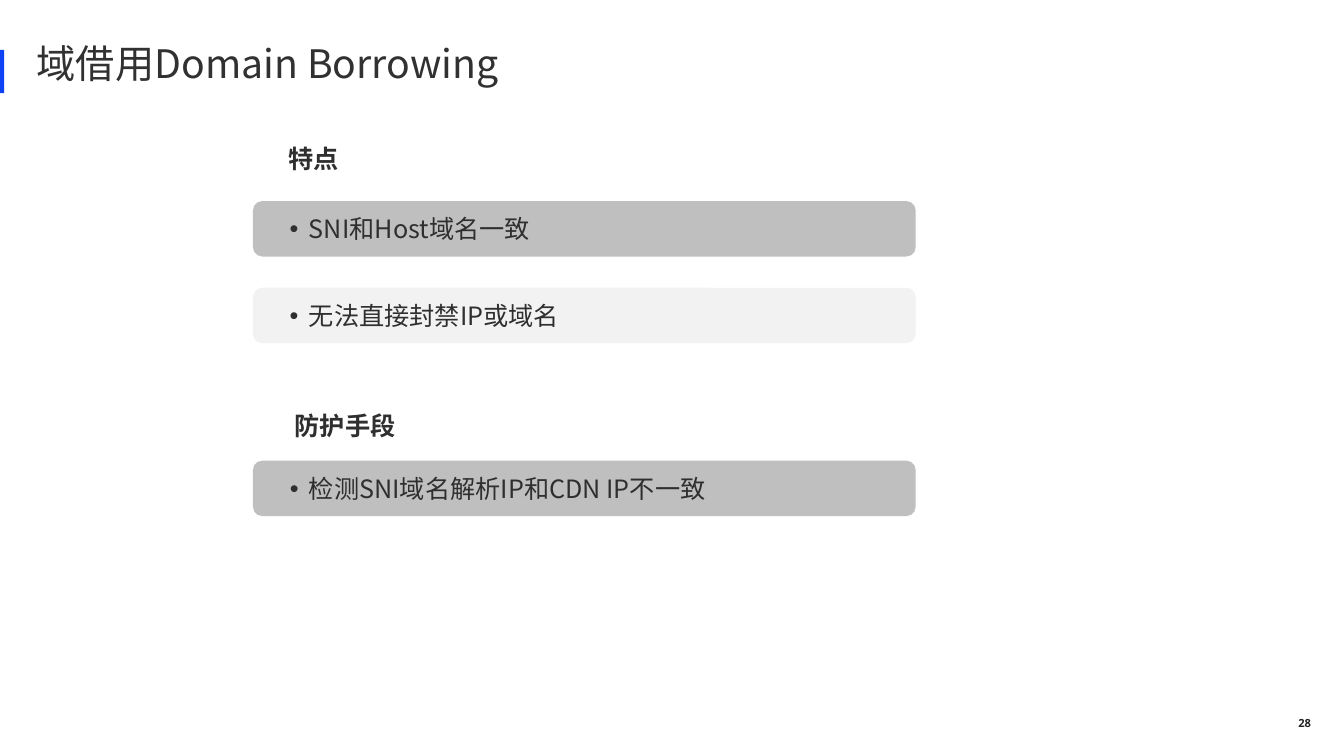
from dataclasses import dataclass

import pptx
import pptx.dml.color
import pptx.enum.shapes
import pptx.enum.text
import pptx.oxml.ns
import pptx.util
from lxml import etree

Inches = pptx.util.Inches
Anchor = pptx.enum.text.MSO_ANCHOR
Align = pptx.enum.text.PP_ALIGN
Shape = pptx.enum.shapes.MSO_SHAPE
qn = pptx.oxml.ns.qn


@dataclass(frozen=True)
class Theme:
    font: str = "Noto Sans CJK SC"
    number_font: str = "Open Sans"
    title_color: str = "313131"
    body_color: str = "2F2F2F"
    number_color: str = "222222"
    accent: str = "0E42F5"
    dark_bar: str = "BFBFBF"
    light_bar: str = "F2F2F2"
    title_size: int = 56
    body_size: int = 36
    number_size: int = 16
    inset: float = 0.06
    indent: float = 0.38


class SlideBuilder:
    BAR_LEFT, BAR_WIDTH, BAR_HEIGHT = 5.02, 13.15, 1.1
    TEXT_LEFT, TEXT_WIDTH, TEXT_HEIGHT = 5.69, 9.64, 0.72

    def __init__(self, slide, theme):
        self.s = slide
        self.theme = theme

    def block(self, kind, left, top, width, height, color):
        sp = self.s.shapes.add_shape(
            kind, Inches(left), Inches(top), Inches(width), Inches(height))
        sp.shadow.inherit = False
        sp.fill.solid()
        sp.fill.fore_color.rgb = pptx.dml.color.RGBColor.from_string(color)
        sp.line.fill.background()

    def text(self, text, left, top, width, height, size, color, font=None,
             bold=False, wrap=True, anchor=Anchor.MIDDLE, insets=None):
        sp = self.s.shapes.add_textbox(
            Inches(left), Inches(top), Inches(width), Inches(height))
        tf = sp.text_frame
        tf.word_wrap = wrap
        tf.auto_size = pptx.enum.text.MSO_AUTO_SIZE.SHAPE_TO_FIT_TEXT
        tf.vertical_anchor = anchor
        side, end = insets or (self.theme.inset, self.theme.inset)
        tf.margin_left = tf.margin_right = Inches(side)
        tf.margin_top = tf.margin_bottom = Inches(end)
        p = tf.paragraphs[0]
        r = p.add_run()
        r.text = text
        r.font.size = pptx.util.Pt(size)
        r.font.bold = bold
        r.font.color.rgb = pptx.dml.color.RGBColor.from_string(color)
        r.font.name = font or self.theme.font
        # East Asian characters take their typeface from a:ea
        etree.SubElement(r.font._element, qn("a:ea"), typeface=r.font.name)
        return p

    def title(self, text):
        t = self.theme
        self.block(Shape.RECTANGLE, -0.01, 0.99, 0.09, 0.86, t.accent)
        p = self.text(text, 0.67, 0.82, 9.57, 0.96, t.title_size,
                      t.title_color, wrap=False, anchor=Anchor.TOP)
        p.line_spacing = 0.9

    def heading(self, text, left, top):
        t = self.theme
        self.text(text, left, top, self.TEXT_WIDTH, self.TEXT_HEIGHT,
                  t.body_size, t.body_color, bold=True)

    def bullet_bar(self, text, top, color, text_width=TEXT_WIDTH):
        t = self.theme
        self.block(Shape.ROUNDED_RECTANGLE, self.BAR_LEFT, top,
                   self.BAR_WIDTH, self.BAR_HEIGHT, color)
        text_top = top + (self.BAR_HEIGHT - self.TEXT_HEIGHT) / 2
        p = self.text(text, self.TEXT_LEFT, text_top, text_width,
                      self.TEXT_HEIGHT, t.body_size, t.body_color)
        pPr = p._p.get_or_add_pPr()
        pPr.set("marL", str(Inches(t.indent)))
        pPr.set("indent", str(-Inches(t.indent)))
        etree.SubElement(pPr, qn("a:buFont"), typeface="Arial")
        etree.SubElement(pPr, qn("a:buChar"), char="•")

    def slide_number(self, text):
        # No side insets, so that both digits fit on one line
        t = self.theme
        p = self.text(text, 25.72, 14.11, 0.34, 0.46, t.number_size,
                      t.number_color, font=t.number_font, bold=True,
                      wrap=False, insets=(0, 0.1))
        p.alignment = Align.CENTER


def main():
    prs = pptx.Presentation()
    prs.slide_width = Inches(26.67)
    prs.slide_height = Inches(15)
    theme = Theme()
    b = SlideBuilder(prs.slides.add_slide(prs.slide_layouts[6]), theme)

    # Title and slide number
    b.title("域借用Domain Borrowing")
    b.slide_number("28")

    # Features
    b.heading("特点", 5.67, 2.78)
    b.bullet_bar("SNI和Host域名一致", 3.99, theme.dark_bar)
    b.bullet_bar("无法直接封禁IP或域名", 5.71, theme.light_bar)

    # Countermeasures
    b.heading("防护手段", 5.79, 8.09)
    b.bullet_bar("检测SNI域名解析IP和CDN IP不一致", 9.14, theme.dark_bar,
                 text_width=12.15)

    prs.save("out.pptx")


if __name__ == "__main__":
    main()
